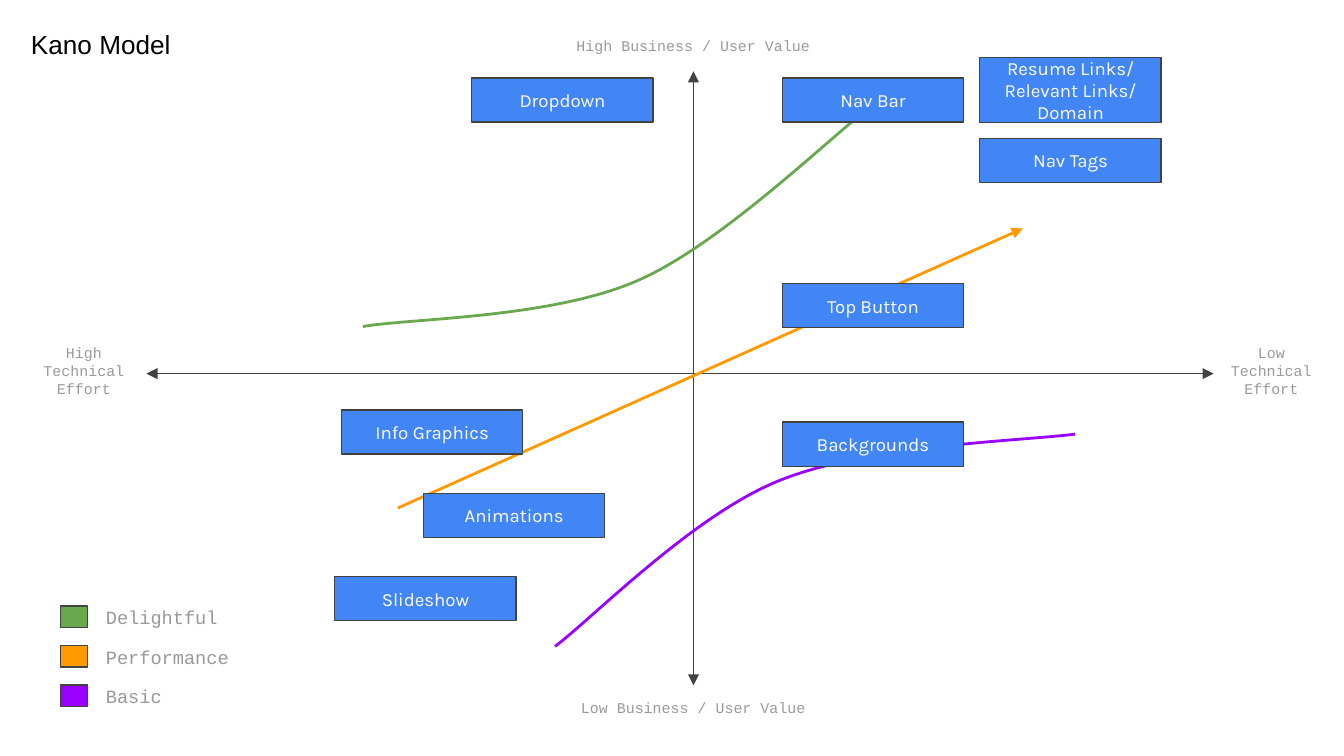
"""Build a Kano model slide: feature cards on a value and effort matrix."""
import collections
import itertools

import pptx
import pptx.dml.color
import pptx.enum.shapes
import pptx.enum.text
import pptx.oxml
import pptx.oxml.ns
import pptx.util

RGBColor = pptx.dml.color.RGBColor
BLACK = RGBColor(0x00, 0x00, 0x00)
WHITE = RGBColor(0xFF, 0xFF, 0xFF)
GREY = RGBColor(0x99, 0x99, 0x99)
CHARCOAL = RGBColor(0x42, 0x42, 0x42)
BLUE = RGBColor(0x42, 0x85, 0xF4)
GREEN = RGBColor(0x6A, 0xA8, 0x4F)
ORANGE = RGBColor(0xFF, 0x99, 0x00)
PURPLE = RGBColor(0x99, 0x00, 0xFF)

CELL = pptx.util.Inches(0.1)
COLUMNS, ROWS = 100, 56.25
CARD_WIDTH, CARD_HEIGHT = 13.5, 3.3

ALIGN = pptx.enum.text.PP_ALIGN
ANCHOR = pptx.enum.text.MSO_ANCHOR
RECTANGLE = pptx.enum.shapes.MSO_SHAPE.RECTANGLE
STRAIGHT = pptx.enum.shapes.MSO_CONNECTOR.STRAIGHT
INSET = pptx.util.Inches(0.1)
FRAME_FORMAT = {
    "word_wrap": True,
    "auto_size": pptx.enum.text.MSO_AUTO_SIZE.NONE,
    "margin_left": INSET,
    "margin_right": INSET,
    "margin_top": INSET,
    "margin_bottom": INSET,
}
TITLE_FONT = {"name": "Arial", "size": pptx.util.Pt(14)}
CARD_FONT = {"name": "Karla", "size": pptx.util.Pt(10)}
LEGEND_FONT = {"name": "Courier New", "size": pptx.util.Pt(10)}
AXIS_FONT = {"name": "Courier New", "size": pptx.util.Pt(8)}

Box = collections.namedtuple("Box", "left top width height")

CARDS = [
    ("Dropdown", 35.1, 5.8),
    ("Nav Tags", 72.9, 10.3),
    ("Nav Bar", 58.2, 5.8),
    ("Top Button", 58.2, 21.1),
    ("Backgrounds", 58.2, 31.4),
    ("Info Graphics", 25.4, 30.5),
    ("Animations", 31.5, 36.7),
    ("Slideshow", 24.9, 42.9),
]
TALL_CARD = ("Resume Links/ Relevant Links/\nDomain", 72.9, 4.3)
TALL_CARD_HEIGHT = 4.8

AXIS_LABELS = [
    ("High Business / User Value", 41.8, 1.7, 19.6, ANCHOR.TOP),
    ("Low Business / User Value", 41.8, 51, 19.6, ANCHOR.TOP),
    ("High Technical Effort", 1.1, 25.8, 10.3, ANCHOR.MIDDLE),
    ("Low Technical Effort", 90.3, 25.8, 8.6, ANCHOR.MIDDLE),
]

DELIGHTFUL_CURVE = [(27, 24.3), (30.4, 23.7), (41, 23.7), (47.4, 20.9),
                    (53.7, 18.2), (62.2, 9.8), (65.2, 7.6)]
BASIC_CURVE = [(41.3, 48.1), (44.1, 46), (51.5, 38.4), (57.9, 35.8),
               (64.4, 33.1), (76.3, 32.8), (80, 32.3)]

LEGEND = [("Delightful", GREEN), ("Performance", ORANGE), ("Basic", PURPLE)]


def cells(*counts):
    """Turn counts of grid cells into lengths."""
    return [round(count * CELL) for count in counts]


def inside(box, left, top, width, height):
    """Return a box placed relative to the corner of another."""
    return Box(box.left + left, box.top + top, width, height)


def write_text(shape, text, font, color, align=ALIGN.LEFT, anchor=ANCHOR.TOP):
    """Fill and format the text frame of a shape."""
    frame = shape.text_frame
    frame.text = text
    for name, value in FRAME_FORMAT.items():
        setattr(frame, name, value)
    frame.vertical_anchor = anchor
    for paragraph in frame.paragraphs:
        paragraph.alignment = align
        for name, value in font.items():
            setattr(paragraph.font, name, value)
        paragraph.font.color.rgb = color


def draw_label(slide, box, text, font, **layout):
    """Add a grey text box."""
    shape = slide.shapes.add_textbox(*cells(*box))
    write_text(shape, text, font, GREY, **layout)


def set_line(shape, color, width):
    """Set the line colour and width of a shape."""
    shape.line.color.rgb = color
    shape.line.width = pptx.util.Pt(width)


def draw_rectangle(slide, box, color):
    """Add a filled rectangle with a thin outline."""
    shape = slide.shapes.add_shape(RECTANGLE, *cells(*box))
    shape.shadow.inherit = False
    shape.fill.solid()
    shape.fill.fore_color.rgb = color
    set_line(shape, CHARCOAL, 0.75)
    return shape


def draw_arrow(slide, box, start, end, color, width, heads):
    """Add a straight line with the given arrowheads."""
    points = [(box.left + x, box.top + y) for x, y in (start, end)]
    line = slide.shapes.add_connector(STRAIGHT, *cells(*points[0], *points[1]))
    set_line(line, color, width)
    outline = line.line._get_or_add_ln()
    for head in heads:
        element = pptx.oxml.ns.qn(f"a:{head}")
        outline.append(outline.makeelement(element, {"type": "triangle"}))
    properties = line.element.spPr
    properties.append(properties.makeelement(pptx.oxml.ns.qn("a:effectLst"), {}))


def draw_curve(slide, box, points, color):
    """Add an open curve of cubic segments, three points to a segment."""
    start, *controls = [cells(box.left + x, box.top + y) for x, y in points]
    builder = slide.shapes.build_freeform(*start)
    builder.add_line_segments(controls, close=False)
    curve = builder.convert_to_shape()
    segments = curve.element.xpath(".//a:lnTo")
    for first, second, third in zip(*[iter(segments)] * 3):
        bezier = first.makeelement(pptx.oxml.ns.qn("a:cubicBezTo"), {})
        first.addprevious(bezier)
        for segment in (first, second, third):
            bezier.append(segment[0])
            segment.getparent().remove(segment)
    curve.shadow.inherit = False
    curve.fill.background()
    set_line(curve, color, 1.5)


def draw_title(slide, box):
    """Move and format the title placeholder."""
    title = slide.shapes.title
    title.left, title.top, title.width, title.height = cells(*box)
    write_text(title, "Kano Model", TITLE_FONT, BLACK)


def draw_axes(slide, box):
    """Draw the two crossing axes and their end labels."""
    both = ("headEnd", "tailEnd")
    draw_arrow(slide, box, (51.6, 5.3), (51.6, 51), CHARCOAL, 0.75, both)
    draw_arrow(slide, box, (90.3, 27.8), (10.9, 27.8), CHARCOAL, 0.75, both)
    for text, left, top, width, anchor in AXIS_LABELS:
        draw_label(slide, inside(box, left, top, width, 3.6), text, AXIS_FONT,
                   align=ALIGN.CENTER, anchor=anchor)


def draw_trends(slide, box):
    """Draw one line for each Kano category."""
    draw_curve(slide, box, DELIGHTFUL_CURVE, GREEN)
    draw_curve(slide, box, BASIC_CURVE, PURPLE)
    draw_arrow(slide, box, (29.6, 37.8), (76.1, 17), ORANGE, 1.5, ("tailEnd",))


def draw_legend(slide, box):
    """Draw a swatch and a name for each category in equal rows."""
    pitch = box.height / len(LEGEND)
    for row, (name, color) in enumerate(LEGEND):
        top = row * pitch
        draw_rectangle(slide, inside(box, 0, top + 1, 2, 1.6), color)
        draw_label(slide, inside(box, 2.4, top, box.width - 2.4, 3.6), name, LEGEND_FONT)


def draw_cards(slide, box):
    """Place the feature cards on the matrix."""
    heights = itertools.chain([TALL_CARD_HEIGHT], itertools.repeat(CARD_HEIGHT))
    for (text, left, top), height in zip([TALL_CARD, *CARDS], heights):
        card = draw_rectangle(slide, inside(box, left, top, CARD_WIDTH, height), BLUE)
        write_text(card, text, CARD_FONT, WHITE, ALIGN.CENTER, ANCHOR.MIDDLE)


def main():
    """Build and save the presentation."""
    presentation = pptx.Presentation()
    presentation.slide_width, presentation.slide_height = cells(COLUMNS, ROWS)
    slide = presentation.slides.add_slide(presentation.slide_layouts[5])
    matrix = Box(0, 0, COLUMNS, ROWS)
    draw_title(slide, Box(1.3, 1.1, 15.6, 3.1))
    draw_axes(slide, matrix)
    draw_trends(slide, matrix)
    draw_legend(slide, Box(4.5, 44.1, 22, 8.8))
    draw_cards(slide, matrix)
    presentation.save("out.pptx")


if __name__ == "__main__":
    main()
